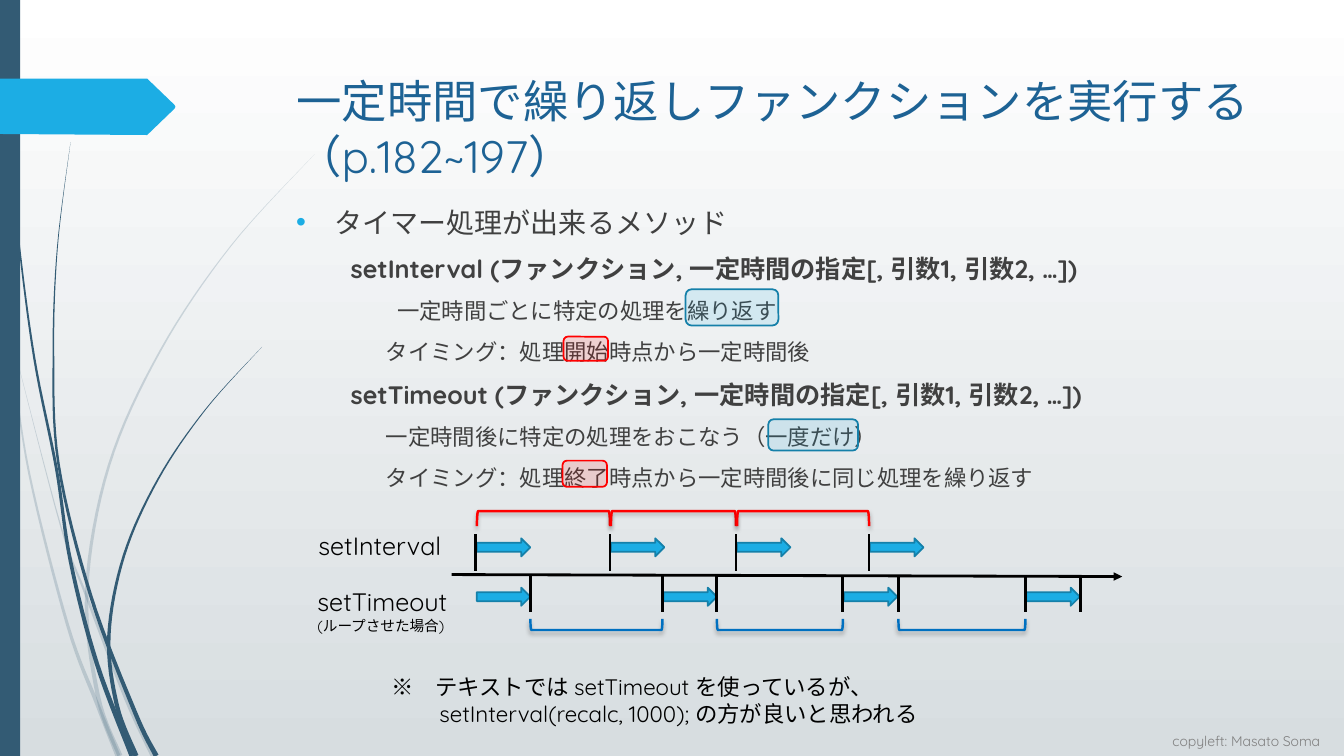
from dataclasses import dataclass
from itertools import pairwise
from math import hypot

from lxml import etree
from pptx import Presentation
from pptx.dml.color import RGBColor
from pptx.enum.shapes import MSO_CONNECTOR, MSO_SHAPE
from pptx.enum.text import MSO_AUTO_SIZE
from pptx.oxml.ns import qn
from pptx.util import Inches, Pt

STRAIGHT = MSO_CONNECTOR.STRAIGHT
RECTANGLE = MSO_SHAPE.RECTANGLE
ROUNDED = MSO_SHAPE.ROUNDED_RECTANGLE
RIGHT_ARROW = MSO_SHAPE.RIGHT_ARROW
RIGHT_BRACKET = MSO_SHAPE.RIGHT_BRACKET
GROW = MSO_AUTO_SIZE.SHAPE_TO_FIT_TEXT

CELL = Inches(1)
COLUMNS, ROWS = 13.33, 7.5
FONT = "Quicksand"

WHITE = RGBColor(0xFF, 0xFF, 0xFF)
MIST = RGBColor(0xD7, 0xDD, 0xE0)
SLATE = RGBColor(0x33, 0x5B, 0x74)
SKY = RGBColor(0x1C, 0xAD, 0xE4)
SKY_EDGE = RGBColor(0x15, 0x80, 0xA9)
NAVY = RGBColor(0x1D, 0x62, 0x94)
BLUE = RGBColor(0x00, 0x70, 0xC0)
RED = RGBColor(0xFF, 0x00, 0x00)
CHARCOAL = RGBColor(0x40, 0x40, 0x40)
GRAY = RGBColor(0x80, 0x80, 0x80)
BLACK = RGBColor(0x00, 0x00, 0x00)

Point = tuple[float, float]


@dataclass(frozen=True)
class Box:
    left: float
    top: float
    width: float
    height: float

    def cells(self) -> list[int]:
        return [round(CELL * v) for v in (self.left, self.top, self.width, self.height)]


@dataclass(frozen=True)
class Line:
    text: str
    size: float
    color: RGBColor
    indent: float = 0
    before: float = 0
    bold: bool = False
    bullet: bool = False


@dataclass(frozen=True)
class Highlight:
    box: Box
    fill: RGBColor
    edge: RGBColor


@dataclass(frozen=True)
class Blade:
    spine: tuple[Point, ...]
    opacity: int = 100


BLADES = (
    Blade(((0, 2.9), (.11, 3.5), (.29, 4.7), (.67, 6.2), (.97, 7), (1.17, 7.5)), 20),
    Blade(((.14, 3.45), (.6, 5.21), (.86, 5.92), (1.25, 6.93), (1.52, 7.5)), 20),
    Blade(((3.12, 1.53), (2.29, 2.44), (1.59, 3.48), (1.08, 4.62), (.86, 5.85), (.97, 6.9), (1.19, 7.5)), 20),
    Blade(((.03, 0), (.07, 1.1), (.18, 2.33), (.34, 3.55), (.56, 4.65), (.7, 5.57), (.96, 6.58), (1.31, 7.5))),
    Blade(((.7, 1.41), (.57, 2.45), (.53, 3.49), (.58, 4.6), (.9, 5.91), (1.34, 7.07), (1.55, 7.5))),
    Blade(((2.6, 3.44), (2.04, 4.06), (1.57, 4.75), (1.23, 5.51), (1.08, 6.31), (1.16, 7), (1.35, 7.5))),
)
PAGE_TAG = ((0, .78), (1.46, .78), (1.73, 1.04), (1.74, 1.06), (1.73, 1.08), (1.46, 1.34), (0, 1.33))

TITLE = (Line("一定時間で繰り返しファンクションを実行する（p.182~197）", 32.4, NAVY),)
BODY = (
    Line("タイマー処理が出来るメソッド", 20, CHARCOAL, .38, bullet=True),
    Line("setInterval (ファンクション, 一定時間の指定[, 引数1, 引数2, …])", 18, CHARCOAL, .54, 10, True),
    Line("一定時間ごとに特定の処理を繰り返す", 16, CHARCOAL, 1, 10),
    Line("タイミング：処理開始時点から一定時間後", 16, CHARCOAL, .89, 10),
    Line("setTimeout (ファンクション, 一定時間の指定[, 引数1, 引数2, …])", 18, CHARCOAL, .54, 10, True),
    Line("一定時間後に特定の処理をおこなう（一度だけ）", 16, CHARCOAL, .89, 10),
    Line("タイミング：処理終了時点から一定時間後に同じ処理を繰り返す", 16, CHARCOAL, .89, 10),
)
INTERVAL_LABEL = (Line("setInterval", 18, BLACK),)
TIMEOUT_LABEL = (Line("setTimeout", 18, BLACK), Line("(ループさせた場合)", 10.5, BLACK))
REMARK = (
    Line("※　テキストでは setTimeout を使っているが、", 16, BLACK),
    Line("setInterval(recalc, 1000); の方が良いと思われる", 16, BLACK, .48),
)
CREDIT = (Line("copyleft: Masato Soma", 10, GRAY),)

HIGHLIGHTS = (
    Highlight(Box(6.8, 2.87, .92, .36), SKY, SKY_EDGE),
    Highlight(Box(7.62, 4.16, .89, .31), SKY, SKY_EDGE),
    Highlight(Box(5.59, 3.34, .44, .24), RED, RED),
    Highlight(Box(5.58, 4.57, .44, .26), RED, RED),
)
INTERVAL_STARTS = (4.72, 6.05, 7.3, 8.62)
TIMEOUT_ENDS = (5.26, 7.11, 8.91, 10.72)
TIMEOUT_STARTS = (6.57, 8.36, 10.17)


def set_alpha(shape, percent: int) -> None:
    color = shape._element.spPr.find(qn("a:solidFill"))[0]
    etree.SubElement(color, qn("a:alpha"), val=str(percent * 1000))


def draw_shape(slide, kind, box: Box, fill: RGBColor | None, edge: RGBColor | None, weight: float = 1.25):
    shape = slide.shapes.add_shape(kind, *box.cells())
    shape.shadow.inherit = False
    if fill is None:
        shape.fill.background()
    else:
        shape.fill.solid()
        shape.fill.fore_color.rgb = fill
    if edge is None:
        shape.line.fill.background()
    else:
        shape.line.color.rgb = edge
        shape.line.width = Pt(weight)
    return shape


def draw_outline(slide, points, color: RGBColor):
    corners = [(round(x * CELL), round(y * CELL)) for x, y in points]
    builder = slide.shapes.build_freeform(*corners[0], scale=1.0)
    builder.add_line_segments(corners[1:], close=True)
    shape = builder.convert_to_shape()
    shape.shadow.inherit = False
    shape.fill.solid()
    shape.fill.fore_color.rgb = color
    shape.line.fill.background()
    return shape


def smooth(spine: tuple[Point, ...], steps: int = 8) -> list[Point]:
    knots = (spine[0], *spine, spine[-1])
    points = [spine[0]]
    for first in range(len(spine) - 1):
        for step in range(1, steps + 1):
            t = step / steps
            weights = (-t + 2 * t**2 - t**3, 2 - 5 * t**2 + 3 * t**3, t + 4 * t**2 - 3 * t**3, t**3 - t**2)
            window = knots[first:first + 4]
            points.append(tuple(sum(w * knot[axis] for w, knot in zip(weights, window)) / 2 for axis in (0, 1)))
    return points


def ribbon(spine: tuple[Point, ...]) -> list[Point]:
    points = smooth(spine)
    last = len(points) - 1
    left, right = [], []
    for index, (x, y) in enumerate(points):
        before, after = points[max(index - 1, 0)], points[min(index + 1, last)]
        dx, dy = after[0] - before[0], after[1] - before[1]
        scale = .025 * index / last / hypot(dx, dy)
        left.append((x - dy * scale, y + dx * scale))
        right.append((x + dy * scale, y - dx * scale))
    return left + right[::-1]


def draw_text(slide, box: Box, lines: tuple[Line, ...], wrap: bool = True, grow: bool = False) -> None:
    frame = slide.shapes.add_textbox(*box.cells()).text_frame
    frame.word_wrap = wrap
    if grow:
        frame.auto_size = GROW
    for index, line in enumerate(lines):
        paragraph = frame.add_paragraph() if index else frame.paragraphs[0]
        properties = paragraph._p.get_or_add_pPr()
        if line.indent:
            margin = round(line.indent * CELL)
            properties.set("marL", str(margin))
            properties.set("indent", str(-margin if line.bullet else 0))
        if line.bullet:
            bullet_color = etree.SubElement(properties, qn("a:buClr"))
            etree.SubElement(bullet_color, qn("a:srgbClr"), val=str(SKY))
            etree.SubElement(properties, qn("a:buFont"), typeface="Arial")
            etree.SubElement(properties, qn("a:buChar"), char="•")
        if line.before:
            paragraph.space_before = Pt(line.before)
        run = paragraph.add_run()
        run.text = line.text
        run.font.name = FONT
        run.font.size = Pt(line.size)
        run.font.bold = line.bold
        run.font.color.rgb = line.color


def draw_line(slide, x1: float, y1: float, x2: float, y2: float, arrow: bool = False) -> None:
    ends = [round(v * CELL) for v in (x1, y1, x2, y2)]
    connector = slide.shapes.add_connector(STRAIGHT, *ends)
    connector.line.color.rgb = BLACK
    connector.line.width = Pt(2)
    properties = connector._element.spPr
    if arrow:
        etree.SubElement(properties.find(qn("a:ln")), qn("a:tailEnd"), type="triangle")
    etree.SubElement(properties, qn("a:effectLst"))


def draw_bracket(slide, start: float, end: float, top: float, depth: float, rotation: int, edge: RGBColor) -> None:
    span = end - start
    box = Box((start + end - depth) / 2, top + (depth - span) / 2, depth, span)
    shape = draw_shape(slide, RIGHT_BRACKET, box, None, edge, 1.75)
    shape.rotation = rotation
    effects = shape._element.spPr.find(qn("a:effectLst"))
    shadow = etree.SubElement(effects, qn("a:outerShdw"), blurRad=str(Pt(3)), dist=str(Pt(2)), dir="5400000", rotWithShape="0")
    color = etree.SubElement(shadow, qn("a:srgbClr"), val=str(BLACK))
    etree.SubElement(color, qn("a:alpha"), val="25000")


def draw_backdrop(slide) -> None:
    fill = slide.background.fill
    fill.gradient()
    fill.gradient_angle = 270
    for stop, color in zip(fill.gradient_stops, (WHITE, MIST)):
        stop.color.rgb = color
    for blade in BLADES:
        set_alpha(draw_outline(slide, ribbon(blade.spine), SLATE), blade.opacity)
    draw_shape(slide, RECTANGLE, Box(0, 0, .2, ROWS), SLATE, None)
    draw_text(slide, Box(11.53, 7.22, 1.81, .28), CREDIT, grow=True)
    draw_outline(slide, PAGE_TAG, SKY)


def draw_timeline(slide) -> None:
    draw_line(slide, 4.48, 5.7, 11.13, 5.72, arrow=True)
    draw_text(slide, Box(3.06, 5.21, 1.46, .4), INTERVAL_LABEL, wrap=False, grow=True)
    draw_text(slide, Box(3.05, 5.77, 1.55, .59), TIMEOUT_LABEL, wrap=False, grow=True)
    first = INTERVAL_STARTS[0]
    for starts, top in ((INTERVAL_STARTS, 5.34), ((first, *TIMEOUT_STARTS), 5.83)):
        for start in starts:
            draw_shape(slide, RIGHT_ARROW, Box(start + .01, top, .53, .18), SKY, SKY_EDGE)
    for ticks, top in ((INTERVAL_STARTS, 5.3), (TIMEOUT_ENDS + TIMEOUT_STARTS, 5.71)):
        for tick in ticks:
            draw_line(slide, tick, top, tick, top + .36)
    for start, end in pairwise(INTERVAL_STARTS):
        draw_bracket(slide, start + .01, end, 5.07, .15, 270, RED)
    for start, end in zip(TIMEOUT_ENDS, TIMEOUT_STARTS):
        draw_bracket(slide, start, end, 6.14, .11, 90, BLUE)


def main() -> None:
    presentation = Presentation()
    presentation.slide_width = round(CELL * COLUMNS)
    presentation.slide_height = round(CELL * ROWS)
    slide = presentation.slides.add_slide(presentation.slide_layouts[6])
    draw_backdrop(slide)
    draw_text(slide, Box(2.84, .68, 10.05, .82), TITLE)
    draw_text(slide, Box(2.84, 1.99, 9.94, 4.79), BODY)
    for highlight in HIGHLIGHTS:
        set_alpha(draw_shape(slide, ROUNDED, highlight.box, highlight.fill, highlight.edge), 13)
    draw_timeline(slide)
    draw_text(slide, Box(3.78, 6.63, 7.38, .64), REMARK, grow=True)
    presentation.save("out.pptx")


if __name__ == "__main__":
    main()
